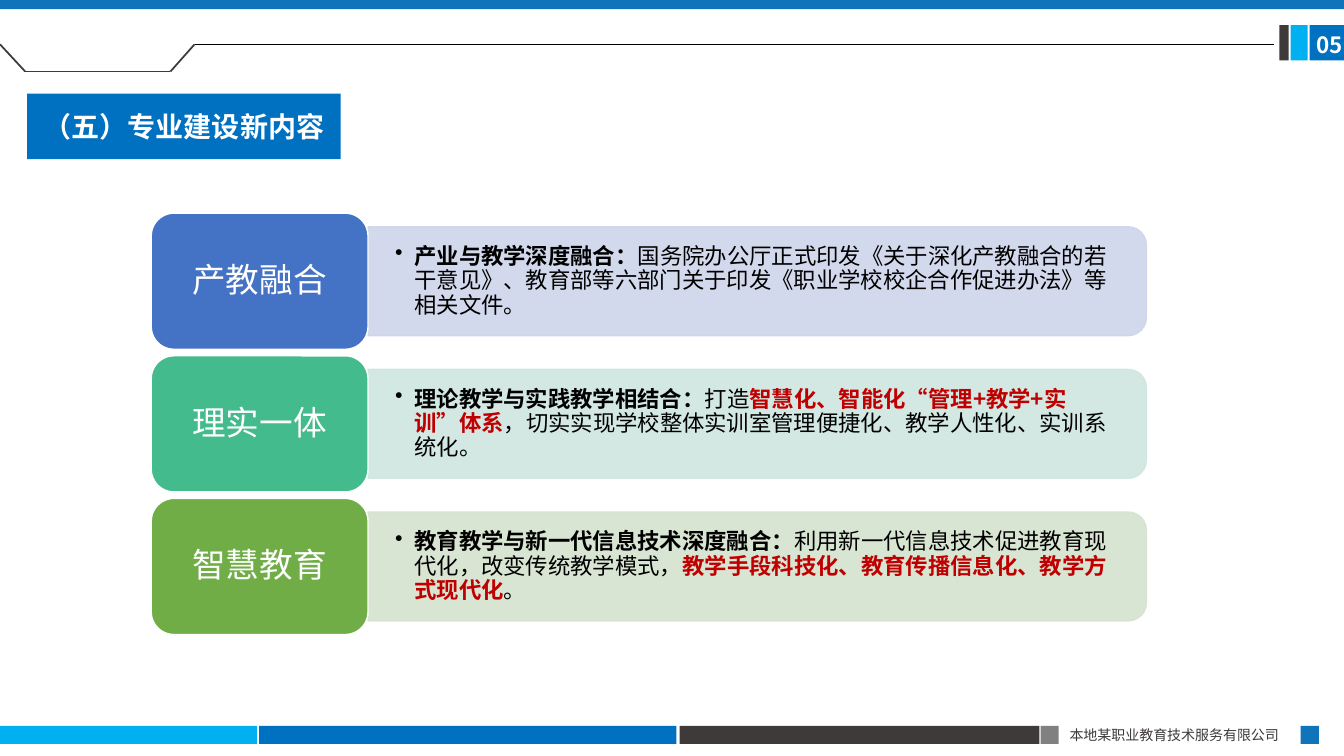
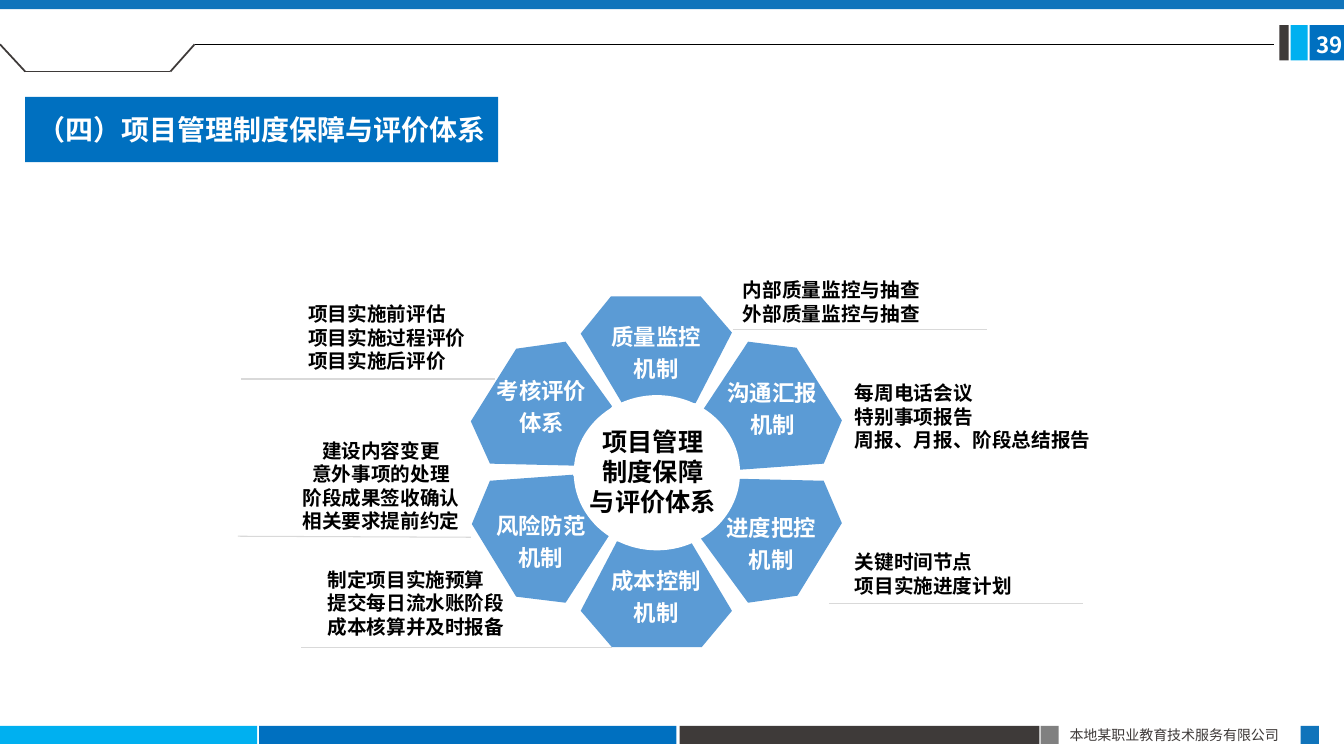
"""Build two slides on programme content and project management safeguards."""
from lxml import etree
from pptx import Presentation
from pptx import util as u
from pptx.dml.color import RGBColor
from pptx.enum import shapes, text
from pptx.oxml import ns

FONT = "Noto Sans CJK SC"
TITLE_FONT = "Calibri"
WHITE = RGBColor(0xFF, 0xFF, 0xFF)
BLACK = RGBColor(0x00, 0x00, 0x00)
RED = RGBColor(0xC0, 0x00, 0x00)
BLUE = RGBColor(0x00, 0x70, 0xC0)
DEEP_BLUE = RGBColor(0x10, 0x74, 0xBB)
CYAN = RGBColor(0x00, 0xB0, 0xF0)
CHARCOAL = RGBColor(0x3E, 0x3A, 0x39)
GRAY = RGBColor(0x80, 0x80, 0x80)
LIGHT_GRAY = RGBColor(0xD9, 0xD9, 0xD9)
PETAL_BLUE = RGBColor(0x5B, 0x9B, 0xD5)
RECT = shapes.MSO_SHAPE.RECTANGLE
LEFT, CENTER, JUSTIFY = text.PP_ALIGN.LEFT, text.PP_ALIGN.CENTER, text.PP_ALIGN.JUSTIFY
TOP, MIDDLE = text.MSO_ANCHOR.TOP, text.MSO_ANCHOR.MIDDLE


def add_block(slide, kind, box, fill):
    """Add a flat preset shape without an outline."""
    shape = slide.shapes.add_shape(kind, *map(u.Inches, box))
    shape.shadow.inherit = False
    shape.fill.solid()
    shape.fill.fore_color.rgb = fill
    shape.line.fill.background()
    return shape


def format_text(shape, size, colour, align=LEFT, anchor=TOP, bold=True, font=FONT, spacing=1.0):
    """Format all the text of a shape."""
    frame = shape.text_frame
    frame.word_wrap = True
    frame.vertical_anchor = anchor
    for paragraph in frame.paragraphs:
        paragraph.alignment = align
        paragraph.line_spacing = u.Pt(round(size * 1.2 * spacing, 1))
        for run in paragraph.runs:
            run.font.size = u.Pt(size)
            run.font.bold = bold
            run.font.color.rgb = colour
            run.font.name = font
            east_asian = etree.SubElement(run._r.get_or_add_rPr(), ns.qn("a:ea"))
            east_asian.set("typeface", FONT)


presentation = Presentation()
presentation.slide_width = u.Inches(13.33)
presentation.slide_height = u.Inches(7.5)

frame_blocks = [
    ((0, 7.2, 2.55, 0.18), CYAN),
    ((2.57, 7.2, 4.14, 0.18), BLUE),
    ((6.74, 7.2, 3.57, 0.18), CHARCOAL),
    ((10.32, 7.2, 0.18, 0.18), GRAY),
    ((12.9, 7.2, 0.18, 0.18), DEEP_BLUE),
    ((12.99, 0.25, 0.35, 0.35), BLUE),
    ((12.8, 0.25, 0.17, 0.35), CYAN),
    ((12.69, 0.25, 0.09, 0.35), CHARCOAL),
    ((0, 0, 13.33, 0.09), DEEP_BLUE),
]
frame_lines = [
    ((0.25, 0.71, 1.69, 0.71), CHARCOAL, 1.25),
    ((1.69, 0.71, 1.93, 0.44), CHARCOAL, 1.25),
    ((0.25, 0.71, 0, 0.44), CHARCOAL, 1.25),
    ((1.93, 0.44, 12.64, 0.44), BLACK, 0.5),
]
label_lines = [
    (ends, LIGHT_GRAY, 0.75)
    for ends in [
        (7.27, 3.27, 9.79, 3.27),
        (8.22, 5.99, 10.74, 5.99),
        (2.36, 5.32, 4.67, 5.33),
        (2.99, 6.42, 6.07, 6.42),
        (2.39, 3.76, 4.91, 3.76),
    ]
]
pages = [
    ("05", "（五）专业建设新内容", (0.27, 0.93, 3.11, 0.65), []),
    ("39", "（四）项目管理制度保障与评价体系", (0.25, 0.96, 4.69, 0.65), label_lines),
]
for number, title, title_box, extra_lines in pages:
    slide = presentation.slides.add_slide(presentation.slide_layouts[6])
    for box, fill in frame_blocks:
        add_block(slide, RECT, box, fill)
    for ends, colour, width in frame_lines + extra_lines:
        connector = slide.shapes.add_connector(
            shapes.MSO_CONNECTOR.STRAIGHT, *map(u.Inches, ends))
        connector.line.color.rgb = colour
        connector.line.width = u.Pt(width)
        etree.SubElement(connector._element.spPr, ns.qn("a:effectLst"))
    footer = slide.shapes.add_textbox(*map(u.Inches, (10.51, 7.16, 2.4, 0.27)))
    footer.text_frame.text = "本地某职业教育技术服务有限公司"
    format_text(footer, 10, CHARCOAL, JUSTIFY, bold=False)
    page_number = slide.shapes.add_textbox(*map(u.Inches, (12.96, 0.26, 0.5, 0.37)))
    page_number.text_frame.text = number
    format_text(page_number, 16, WHITE)
    title_shape = add_block(slide, RECT, title_box, BLUE)
    title_shape.text_frame.text = title
    format_text(title_shape, 20, WHITE, CENTER, MIDDLE, font=TITLE_FONT)

content_slide, mechanism_slide = presentation.slides

topics = [
    ("产教融合", RGBColor(0x44, 0x72, 0xC4), RGBColor(0xCF, 0xD5, 0xEA), [
        ("产业与教学深度融合：", True, BLACK),
        ("国务院办公厅正式印发《关于深化产教融合的若干意见》、教育部等六部门关于印发"
         "《职业学校校企合作促进办法》等相关文件。", False, BLACK),
    ]),
    ("理实一体", RGBColor(0x43, 0xBB, 0x8D), RGBColor(0xCF, 0xE6, 0xE0), [
        ("理论教学与实践教学相结合：", True, BLACK),
        ("打造", False, BLACK),
        ("智慧化、智能化“管理+教学+实训”体系", True, RED),
        ("，切实实现学校整体实训室管理便捷化、教学人性化、实训系统化。", False, BLACK),
    ]),
    ("智慧教育", RGBColor(0x70, 0xAD, 0x47), RGBColor(0xD5, 0xE3, 0xCF), [
        ("教育教学与新一代信息技术深度融合：", True, BLACK),
        ("利用新一代信息技术促进教育现代化，改变传统教学模式，", False, BLACK),
        ("教学手段科技化、教育传播信息化、教学方式现代化", True, RED),
        ("。", False, BLACK),
    ]),
]
for index, (name, tile_colour, panel_colour, segments) in enumerate(topics):
    middle = 2.79 + index * 1.415
    panel = add_block(content_slide, shapes.MSO_SHAPE.ROUND_2_SAME_RECTANGLE,
                      (6.97, middle - 3.86, 1.08, 7.72), panel_colour)
    panel.rotation = 90
    panel.line.color.rgb = panel_colour
    panel.line.width = u.Pt(1)
    for colour_element in panel._element.spPr.iter(ns.qn("a:srgbClr")):
        etree.SubElement(colour_element, ns.qn("a:alpha")).set("val", "90000")

    body = content_slide.shapes.add_textbox(
        *map(u.Inches, (3.65, middle - 0.485, 7.67, 0.97)))
    body_frame = body.text_frame
    body_frame.margin_left = body_frame.margin_right = u.Inches(0.27)
    body_frame.margin_top = body_frame.margin_bottom = u.Inches(0.14)
    paragraph = body_frame.paragraphs[0]
    properties = paragraph._p.get_or_add_pPr()
    properties.set("marL", str(u.Inches(0.19)))
    properties.set("indent", str(-u.Inches(0.19)))
    etree.SubElement(properties, ns.qn("a:buChar")).set("char", "•")
    for words, _, _ in segments:
        paragraph.add_run().text = words
    format_text(body, 16, BLACK, anchor=MIDDLE, spacing=0.9)
    for run, (_, bold, colour) in zip(paragraph.runs, segments):
        run.font.bold = bold
        run.font.color.rgb = colour

    tile = add_block(content_slide, shapes.MSO_SHAPE.ROUNDED_RECTANGLE,
                     (1.5, middle - 0.675, 2.15, 1.35), tile_colour)
    tile.line.color.rgb = WHITE
    tile.line.width = u.Pt(1)
    tile.text_frame.text = name
    format_text(tile, 24, WHITE, CENTER, MIDDLE, bold=False, spacing=0.9)

petals = [
    ("质量监控\n机制",
     [(6.06, 2.94), (6.95, 2.94), (7.26, 3.3), (6.9, 4), (6.17, 4), (5.76, 3.31)]),
    ("沟通汇报\n机制",
     [(7.42, 3.39), (7.9, 3.45), (8.35, 4.17), (8.17, 4.6), (7.34, 4.66), (6.97, 4.07)]),
    ("进度把控\n机制",
     [(7.32, 4.75), (8.17, 4.77), (8.35, 5.19), (7.91, 5.91), (7.42, 5.98), (6.95, 5.34)]),
    ("成本控制\n机制",
     [(6.12, 5.37), (6.85, 5.37), (7.26, 6.06), (6.96, 6.42), (6.07, 6.42), (5.76, 6.06)]),
    ("风险防范\n机制",
     [(5.68, 4.71), (6.05, 5.3), (5.61, 5.98), (5.12, 5.92), (4.68, 5.2), (4.86, 4.77)]),
    ("考核评价\n体系",
     [(5.61, 3.39), (6.07, 4.03), (5.71, 4.62), (4.86, 4.6), (4.67, 4.18), (5.12, 3.46)]),
]
for name, corners in petals:
    points = [(u.Inches(x), u.Inches(y)) for x, y in corners]
    builder = mechanism_slide.shapes.build_freeform(*points[0])
    builder.add_line_segments(points[1:], close=True)
    petal = builder.convert_to_shape()
    petal.shadow.inherit = False
    petal.fill.solid()
    petal.fill.fore_color.rgb = PETAL_BLUE
    petal.line.fill.background()
    petal.text_frame.text = name
    format_text(petal, 16, WHITE, CENTER, MIDDLE, spacing=1.2)

add_block(mechanism_slide, shapes.MSO_SHAPE.OVAL, (5.69, 3.92, 1.65, 1.54), WHITE)

labels = [
    ((5.59, 4.18, 1.77, 1.01), 18, CENTER, "项目管理\n制度保障\n与评价体系"),
    ((7.27, 2.71, 2.2, 0.88), 14, LEFT, "内部质量监控与抽查\n外部质量监控与抽查"),
    ((8.38, 3.73, 2.69, 1.04), 14, LEFT,
     "每周电话会议\n特别事项报告\n周报、月报、阶段总结报告"),
    ((8.38, 5.41, 1.8, 0.81), 14, LEFT, "关键时间节点\n项目实施进度计划"),
    ((2.88, 4.3, 1.8, 1.35), 14, CENTER,
     "建设内容变更\n意外事项的处理\n阶段成果签收确认\n相关要求提前约定"),
    ((3.15, 5.58, 2, 0.81), 14, LEFT,
     "制定项目实施预算\n提交每日流水账阶段\n成本核算并及时报备"),
    ((2.96, 2.95, 1.8, 1.11), 14, LEFT,
     "项目实施前评估\n项目实施过程评价\n项目实施后评价"),
]
for box, size, align, words in labels:
    label = mechanism_slide.shapes.add_textbox(*map(u.Inches, box))
    label.text_frame.text = words
    format_text(label, size, BLACK, align)

presentation.save("out.pptx")
